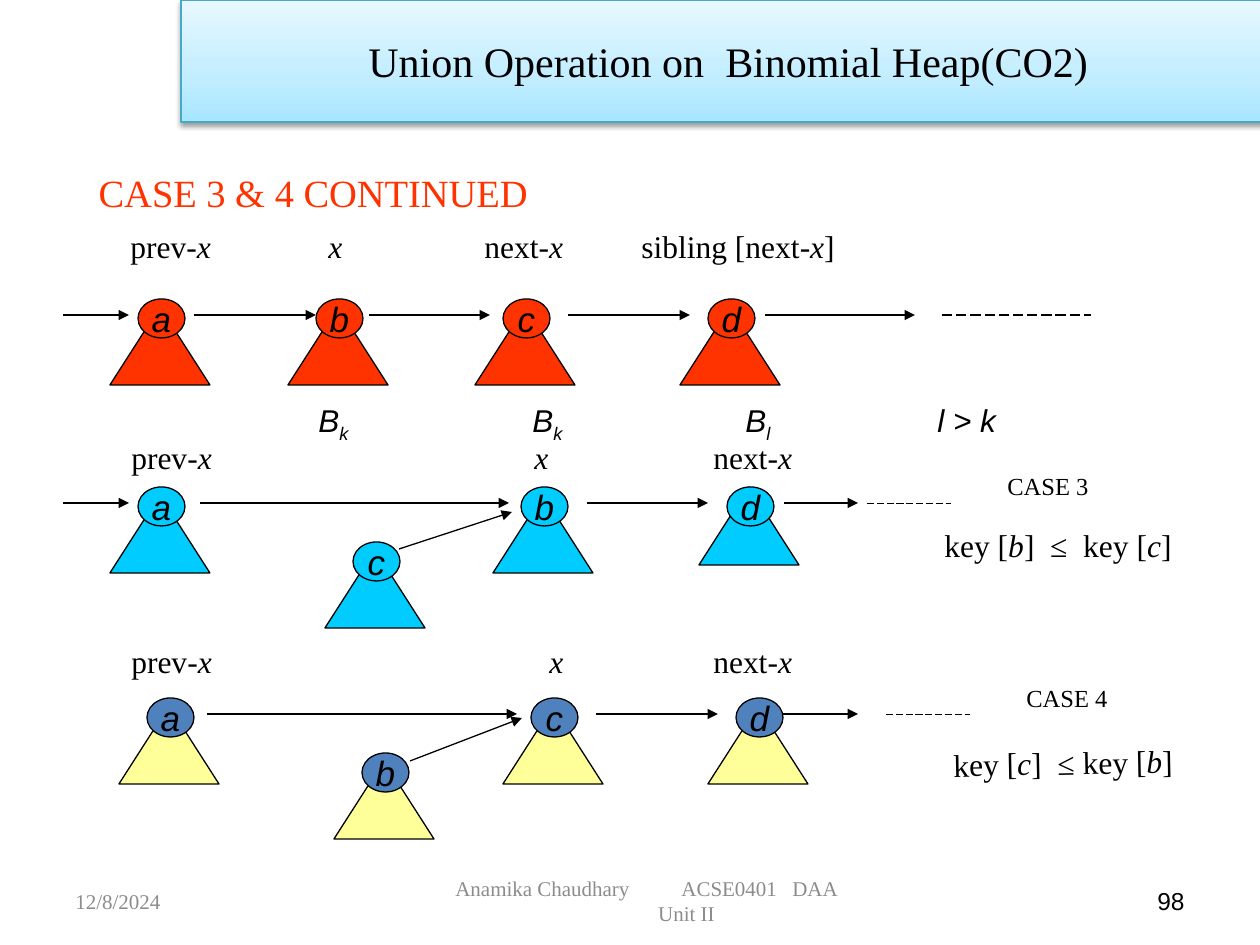
from copy import deepcopy

from lxml.etree import SubElement
from pptx import Presentation
from pptx.dml.color import RGBColor
from pptx.enum.dml import MSO_LINE
from pptx.enum.shapes import MSO_CONNECTOR, MSO_SHAPE
from pptx.enum.text import MSO_ANCHOR, MSO_AUTO_SIZE, PP_ALIGN
from pptx.oxml.ns import qn
from pptx.util import Pt

PX = 914400 / 126  # EMU per px
INSET = 13         # left text inset of a box, px

BLACK = RGBColor(0x00, 0x00, 0x00)
RED = RGBColor(0xFF, 0x33, 0x00)
CYAN = RGBColor(0x00, 0xCC, 0xFF)
BLUE = RGBColor(0x4F, 0x81, 0xBD)
YELLOW = RGBColor(0xFF, 0xFF, 0x99)
GRAY = RGBColor(0x8C, 0x8C, 0x8C)
BANNER_LINE = RGBColor(0x46, 0xAA, 0xC5)
BANNER_STOPS = [(0, RGBColor(0xA7, 0xE6, 0xFF)),
                (0.35, RGBColor(0xC1, 0xED, 0xFF)),
                (1, RGBColor(0xE7, 0xF8, 0xFF))]

SERIF, SANS = "Times New Roman", "Arial"
LABEL = {"name": SERIF, "size": Pt(18), "color": BLACK}
CASE = LABEL | {"size": Pt(14)}
TREE = {"name": SANS, "size": Pt(18), "color": BLACK, "italic": True}
NODE = TREE | {"size": Pt(20)}
FOOT = {"name": SERIF, "size": Pt(12), "color": GRAY}
NUMBER = {"name": SANS, "size": Pt(14), "color": BLACK}
I = {"italic": True}
SUB = {"baseline": "-25000"}


def px(*values):
    return [round(v * PX) for v in values]


def write(p, runs, fmt, align=PP_ALIGN.LEFT, tabs=()):
    """Fill a paragraph with (text, extra format) runs and tab stops in px."""
    p.alignment = align
    if tabs:
        tab_list = SubElement(p._p.get_or_add_pPr(), qn("a:tabLst"))
        for pos in px(*tabs):
            SubElement(tab_list, qn("a:tab"), pos=str(pos), algn="l")
    for text, extra in runs:
        r = p.add_run()
        r.text = text
        for key, value in (fmt | extra).items():
            if key == "color":
                r.font.color.rgb = value
            elif key == "baseline":
                r._r.get_or_add_rPr().set(key, value)
            else:
                setattr(r.font, key, value)


def text_box(s, box, runs, fmt, align=PP_ALIGN.LEFT, stops=(), anchor=MSO_ANCHOR.TOP):
    """Text box; stops are the slide positions where tabbed text starts."""
    sp = s.shapes.add_textbox(*px(*box))
    tf = sp.text_frame
    tf.word_wrap = True
    tf.vertical_anchor = anchor
    tabs = [x - box[0] - INSET for x in stops]
    write(tf.paragraphs[0], runs, fmt, align, tabs)
    return sp


def place(sp, box):
    sp.left, sp.top, sp.width, sp.height = px(*box)


def outlined(s, kind, box, color):
    sp = s.shapes.add_shape(kind, *px(*box))
    sp.shadow.inherit = False
    sp.fill.solid()
    sp.fill.fore_color.rgb = color
    sp.line.color.rgb = BLACK
    sp.line.width = Pt(0.75)
    return sp


def tree(s, letter, x, y, root_color, body_color, drop=8):
    """Binomial tree: a triangle under a lettered root."""
    outlined(s, MSO_SHAPE.ISOSCELES_TRIANGLE, (x - 28, y + drop, 100, 78), body_color)
    root = outlined(s, MSO_SHAPE.OVAL, (x, y, 47, 39), root_color)
    tf = root.text_frame
    tf.word_wrap = False
    tf.vertical_anchor = MSO_ANCHOR.MIDDLE
    write(tf.paragraphs[0], [(letter, {})], NODE, PP_ALIGN.CENTER)


def line(s, x1, y1, x2, y2, dashed=False, width=0.75):
    c = s.shapes.add_connector(MSO_CONNECTOR.STRAIGHT, *px(x1, y1, x2, y2))
    c.line.color.rgb = BLACK
    c.line.width = Pt(width)
    if dashed:
        c.line.dash_style = MSO_LINE.LONG_DASH
    else:
        SubElement(c.line._get_or_add_ln(), qn("a:tailEnd"), type="triangle")
    SubElement(c._element.spPr, qn("a:effectLst"))


def banner(sp):
    """Title on a gradient bar with a soft shadow."""
    place(sp, (181, 0, 1084, 122))
    sp.fill.gradient()
    sp.fill.gradient_angle = 90
    gs_list = sp._element.spPr.find(".//" + qn("a:gsLst"))
    gs_list.append(deepcopy(gs_list[0]))
    for stop, (position, color) in zip(sp.fill.gradient_stops, BANNER_STOPS):
        stop.color.rgb = color
        stop.position = position
    sp.line.color.rgb = BANNER_LINE
    sp.line.width = Pt(0.75)
    effects = SubElement(sp._element.spPr, qn("a:effectLst"))
    shadow = SubElement(effects, qn("a:outerShdw"), blurRad=str(Pt(3.1)),
                        dist=str(Pt(1.6)), dir="5400000", rotWithShape="0")
    color = SubElement(shadow, qn("a:srgbClr"), val="000000")
    SubElement(color, qn("a:alpha"), val="38000")
    tf = sp.text_frame
    tf.auto_size = MSO_AUTO_SIZE.NONE
    tf.vertical_anchor = MSO_ANCHOR.MIDDLE
    write(tf.paragraphs[0], [(" Union Operation on  Binomial Heap(CO2)", {})],
          LABEL | {"size": Pt(24)}, PP_ALIGN.CENTER)


def heading(sp):
    place(sp, (86, 163, 567, 73))
    sp.text_frame.auto_size = MSO_AUTO_SIZE.NONE
    p = sp.text_frame.paragraphs[0]
    p.space_before = Pt(0)
    pPr = p._p.get_or_add_pPr()
    pPr.set("marL", "0")
    pPr.set("indent", "0")
    SubElement(pPr, qn("a:buNone"))
    write(p, [("CASE 3 & 4 CONTINUED", {})],
          LABEL | {"size": Pt(22), "color": RED}, PP_ALIGN.JUSTIFY)


def main():
    prs = Presentation()
    prs.slide_width, prs.slide_height = px(1260, 945)
    s = prs.slides.add_slide(prs.slide_layouts[1])
    banner(s.shapes.title)
    heading(s.placeholders[1])

    # Pointer labels over each row
    prev, nxt = [("prev", {}), ("-x\tx\t", I)], [("next", {}), ("-x", I)]
    sibling = [("\t", {}), ("sibling [next", {}), ("-x", I), ("]", {})]
    text_box(s, (118, 221, 873, 50), prev + nxt + sibling, LABEL, stops=(329, 485, 642))
    for y, x_stop in ((432, 535), (636, 550)):
        text_box(s, (119, y, 767, 50), prev + nxt, LABEL, stops=(x_stop, 714))

    # Tree orders
    orders = [("B", {}), ("k", SUB), ("\tB", {}), ("k", SUB),
              ("\tB", {}), ("l", SUB), ("\tl > k", {})]
    text_box(s, (306, 395, 746, 50), orders, TREE, stops=(533, 746, 938))

    # Case names and key conditions
    text_box(s, (995, 465, 152, 42), [("CASE 3", {})], CASE)
    text_box(s, (1014, 677, 152, 42), [("CASE 4", {})], CASE)
    text_box(s, (932, 520, 285, 50), [("key [", {}), ("b", I), ("]  ≤  key [", {}),
                                      ("c", I), ("]", {})], LABEL)
    sp = text_box(s, (941, 737, 266, 50), [("key [", {}), ("c", I), ("]  ≤ key [", {}),
                                           ("b", I), ("]", {})], LABEL)
    sp.rotation = 358.9

    # Rows: root list level, arrow spans, dashed span and its width
    rows = [(315, [(63, 129), (194, 316), (369, 490), (568, 690), (765, 915)],
             (942, 1091), 0.75),
            (503, [(63, 129), (200, 509), (587, 708), (784, 858)], (867, 951), 0.5),
            (714, [(207, 517), (596, 718), (783, 858)], (886, 970), 0.5)]
    for y, arrows, (d1, d2), width in rows:
        for x1, x2 in arrows:
            line(s, x1, y, x2, y)
        line(s, d1, y, d2, y, True, width)
    line(s, 399, 549, 512, 512)
    line(s, 410, 761, 522, 718)

    # Binomial trees
    for letter, x in zip("abcd", (138, 316, 503, 708)):
        tree(s, letter, x, 299, RED, RED)
    for letter, x, y, drop in (("a", 138, 487, 8), ("c", 353, 542, 8),
                               ("b", 521, 487, 8), ("d", 727, 487, 0)):
        tree(s, letter, x, y, CYAN, CYAN, drop)
    for letter, x, y in (("a", 147, 698), ("b", 362, 753), ("c", 531, 698), ("d", 736, 698)):
        tree(s, letter, x, y, BLUE, YELLOW)

    # Footer
    mid = MSO_ANCHOR.MIDDLE
    text_box(s, (63, 876, 294, 50), [("12/8/2024", {})], FOOT, anchor=mid)
    sp = text_box(s, (443, 876, 487, 50), [("Anamika Chaudhary\tACSE0401\tDAA", {})],
                  FOOT, stops=(682, 793), anchor=mid)
    write(sp.text_frame.add_paragraph(), [("Unit II", {})], FOOT, PP_ALIGN.CENTER)
    text_box(s, (903, 876, 294, 50), [("98", {})], NUMBER, PP_ALIGN.RIGHT, anchor=mid)

    prs.save("out.pptx")


if __name__ == "__main__":
    main()
